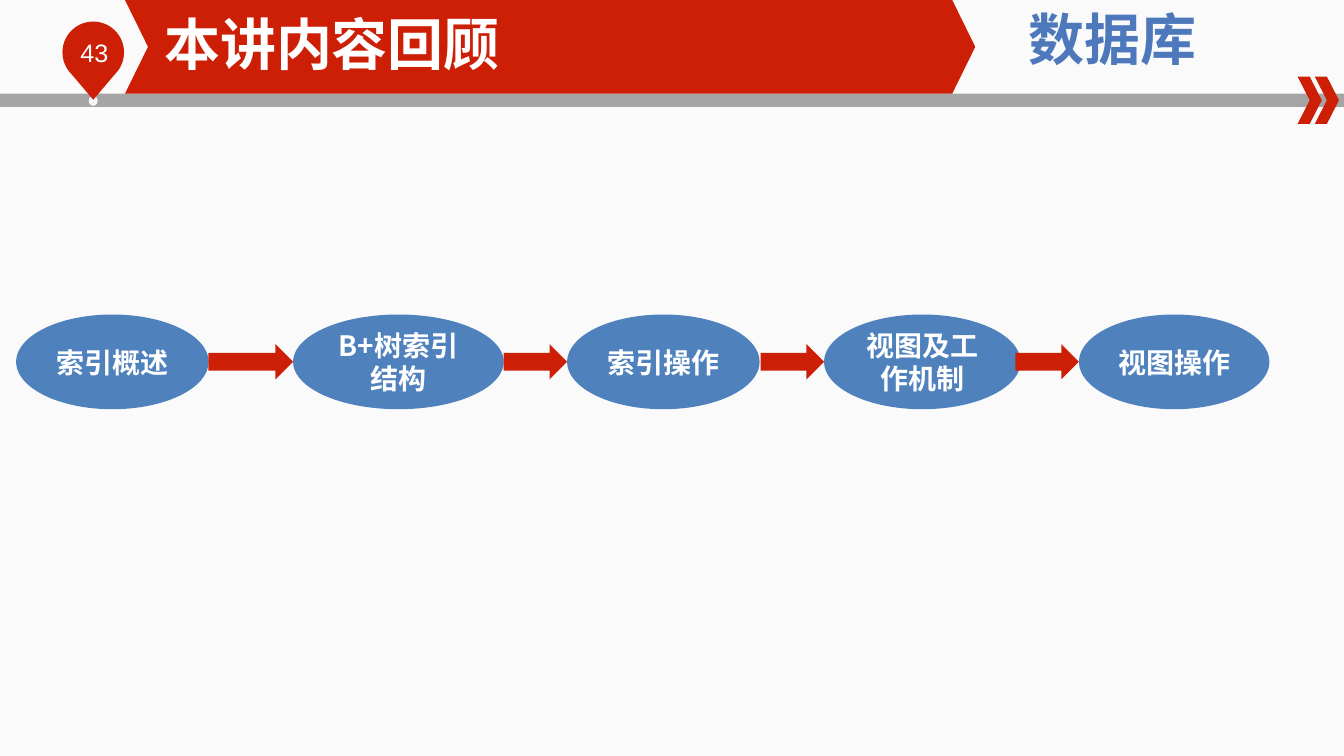
from math import cos, radians, sin

from pptx import Presentation
from pptx import util as u
from pptx.dml.color import RGBColor
from pptx.enum import shapes, text
from pptx.oxml import ns, xmlchemy

RED, BLUE, GRAY, WHITE = "CD1F06", "4F81BD", "A5A5A5", "FFFFFF"
LATIN, HAN = "Arial", "Noto Sans CJK SC"
KIND = shapes.MSO_SHAPE


def tint(code):
    return RGBColor.from_string(code)


class Deck:
    def __init__(self, wide, high):
        self.prs = Presentation()
        self.prs.slide_width = u.Inches(wide)
        self.prs.slide_height = u.Inches(high)
        self.slide = self.prs.slides.add_slide(self.prs.slide_layouts[6])
        self.items = self.slide.shapes

    def x(self, share):
        return u.Emu(round(self.prs.slide_width * share / 100))

    def y(self, share):
        return u.Emu(round(self.prs.slide_height * share / 100))

    def rect(self, left, top, wide, high):
        return self.x(left), self.y(top), self.x(wide), self.y(high)

    def back(self, first, last):
        fill = self.slide.background.fill
        fill.gradient()
        fill.gradient_angle = 270
        for stop, code in zip(fill.gradient_stops, (first, last)):
            stop.color.rgb = tint(code)

    def paint(self, item, color):
        item.shadow.inherit = False
        item.fill.solid()
        item.fill.fore_color.rgb = tint(color)
        item.line.fill.background()
        return item

    def shape(self, kind, area, color, bend=None):
        item = self.items.add_shape(kind, *self.rect(*area))
        if bend is not None:
            item.adjustments[0] = bend
        return self.paint(item, color)

    def poly(self, spots, color):
        dots = [(self.x(a), self.y(b)) for a, b in spots]
        form = self.items.build_freeform(*dots[0], scale=1.0)
        form.add_line_segments(dots[1:], close=True)
        return self.paint(form.convert_to_shape(), color)

    def letter(self, item, words, size, color=WHITE, face=HAN, bold=True, mid=True):
        frame = item.text_frame
        frame.word_wrap = True
        frame.text = words
        para = frame.paragraphs[0]
        para.alignment = text.PP_ALIGN.CENTER if mid else text.PP_ALIGN.LEFT
        run = para.runs[0]
        font = run.font
        font.size, font.bold, font.name = u.Pt(size), bold, face
        font.color.rgb = tint(color)
        east = xmlchemy.OxmlElement("a:ea")
        east.set("typeface", HAN)
        run._r.rPr.find(ns.qn("a:latin")).addnext(east)
        return frame

    def label(self, area, words, size, **look):
        return self.letter(self.items.add_textbox(*self.rect(*area)), words, size, **look)


def header(deck):
    deck.shape(KIND.RECTANGLE, (0, 12.4, 100, 1.73), GRAY)
    deck.shape(KIND.OVAL, (6.6, 12.67, 0.67, 1.33), "F6F6F6")
    turns = [radians(a) for a in range(135, 406, 5)]
    pin = [(6.94 + 2.29 * cos(a), 6.93 + 4.07 * sin(a)) for a in turns]
    deck.poly(pin + [(6.94, 13.2)], RED)
    deck.label((5.25, 4.27, 5.7, 5.33), "43", 18, face=LATIN, bold=False, mid=False)
    for left in (96.55, 97.83):
        deck.shape(KIND.CHEVRON, (left, 10.13, 1.8, 6.27), RED, 0.5)
    deck.shape(KIND.CHEVRON, (9.3, 0, 63.27, 12.4), RED, 0.246)
    deck.label((72.56, 0, 20.39, 10.27), "数据库", 40, color="4D79BC")
    title = deck.label((12.22, 1.2, 49.55, 8.93), "本讲内容回顾", 40, face=LATIN, mid=False)
    title.margin_left = title.margin_right = title.margin_top = title.margin_bottom = 0
    title.vertical_anchor = text.MSO_ANCHOR.MIDDLE


def flow(deck):
    top, high, tall = 41.6, 12.53, 4.67
    steps = [
        ("索引概述", 1.2, 14.32, 0),
        ("B+树索引结构", 21.81, 15.67, 6.3),
        ("索引操作", 42.2, 14.32, 4.72),
        ("视图及工作机制", 61.32, 14.62, 4.72),
        ("视图操作", 80.28, 14.17, 4.72),
    ]
    for words, left, wide, gap in steps:
        oval = deck.shape(KIND.OVAL, (left, top, wide, high), BLUE)
        deck.letter(oval, words, 20).vertical_anchor = text.MSO_ANCHOR.MIDDLE
        if gap:
            area = (left - gap, top + (high - tall) / 2, gap, tall)
            deck.shape(KIND.RIGHT_ARROW, area, RED, 0.5)


def main():
    deck = Deck(13.34, 7.5)
    deck.back("FAFAFA", "FCFCFC")
    header(deck)
    flow(deck)
    deck.prs.save("out.pptx")


if __name__ == "__main__":
    main()
